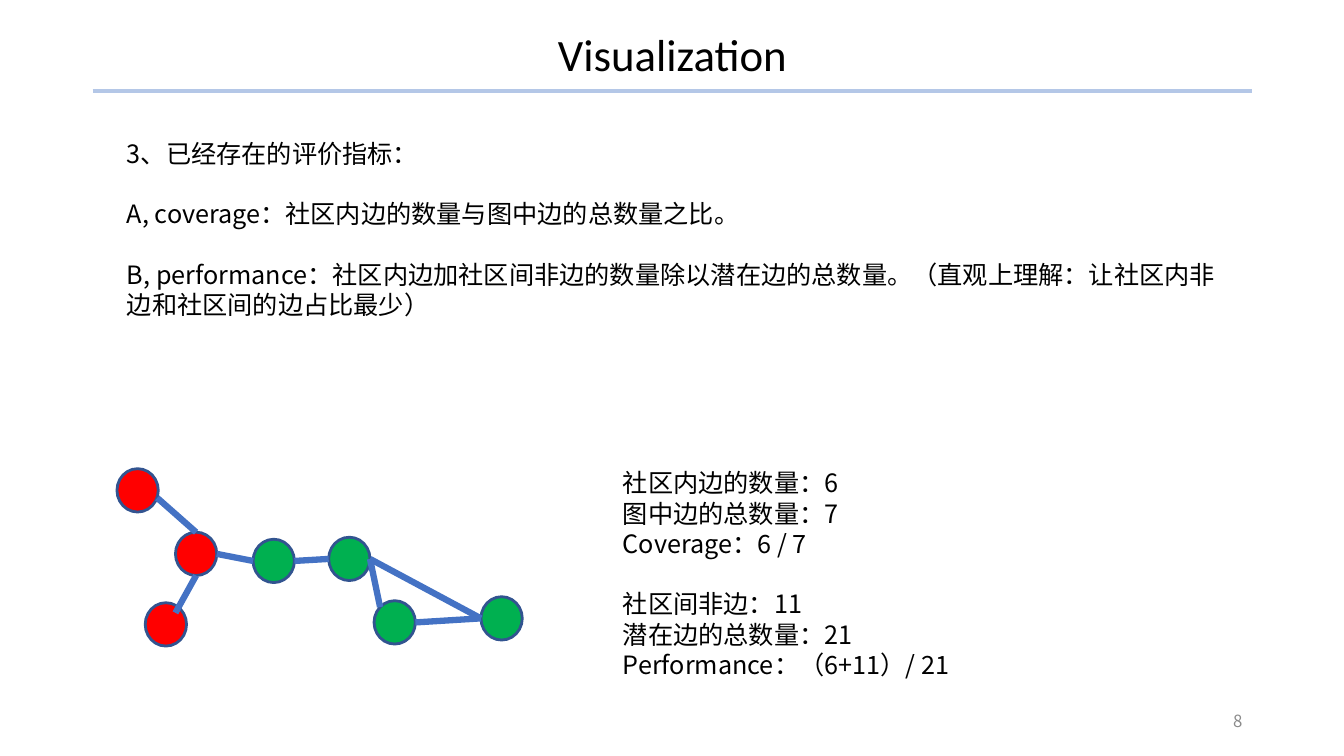
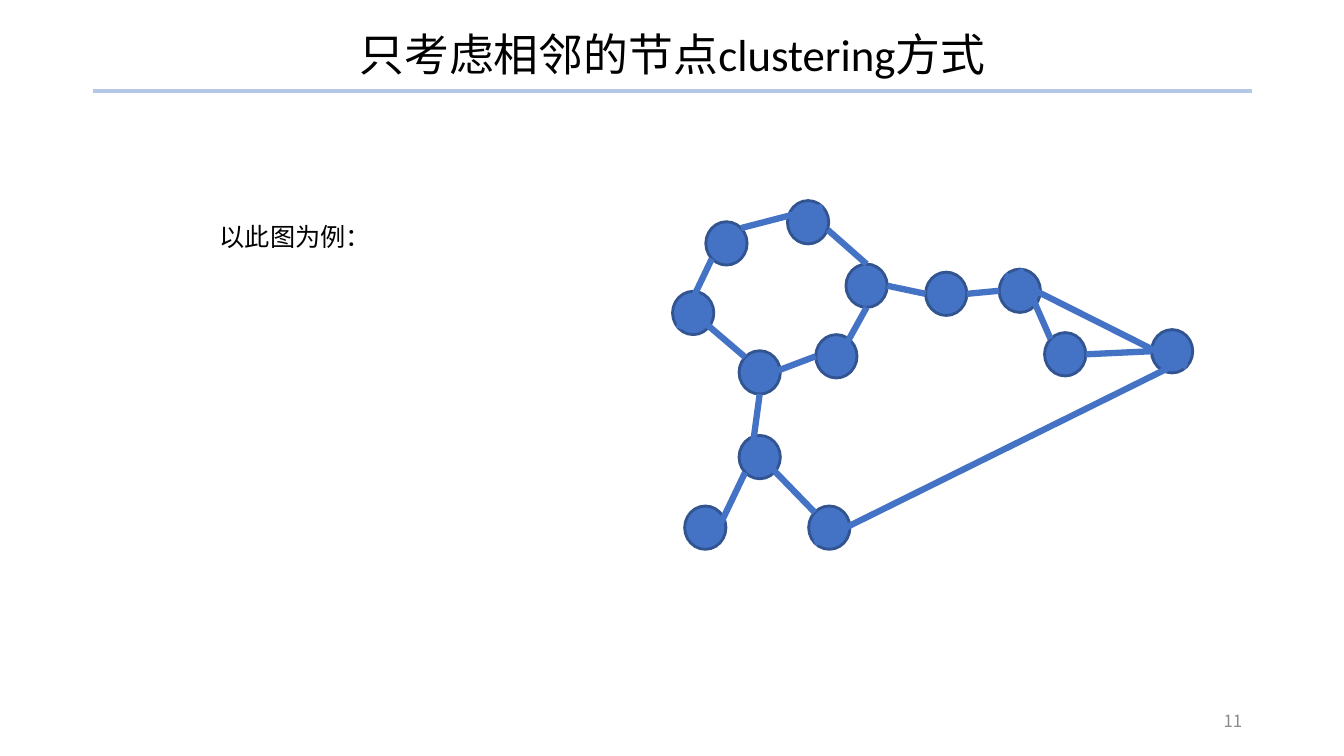
from dataclasses import dataclass
from math import sqrt
from lxml import etree
from pptx import Presentation
from pptx.dml.color import RGBColor
from pptx.enum import shapes, text
from pptx.oxml import ns
from pptx.util import Inches, Pt


@dataclass(frozen=True)
class Theme:
    ink: str = "000000"
    rule: str = "B4C7E7"
    grey: str = "8B8B8B"
    blue: str = "4472C4"
    rim: str = "325490"
    red: str = "FF0000"
    green: str = "00B050"
    latin: str = "Calibri"
    cjk: str = "Noto Sans CJK SC"
    head: float = 32
    body: float = 18
    foot: float = 12
    pitch: float = 21.6


T = Theme()
NODE = (0.41, 0.43)

# Content: an empty line group break becomes paragraph spacing.
# Nodes are name: (left, top). An edge end is a node name with a
# compass side, or a free point on the slide.
PAGES = [
    dict(
        title="Visualization", num="8",
        notes=[
            ((1.16, 1.32, 11.07, 1.9), [
                ["3、已经存在的评价指标："],
                ["A, coverage：社区内边的数量与图中边的总数量之比。"],
                ["B, performance：社区内边加社区间非边的数量除以潜在边的总数量。"
                 "（直观上理解：让社区内非边和社区间的边占比最少）"],
            ]),
            ((6.08, 4.59, 6.66, 2.9), [
                ["社区内边的数量：6", "图中边的总数量：7", "Coverage：6 / 7"],
                ["社区间非边：11", "潜在边的总数量：21",
                 "Performance：（6+11）/ 21"],
            ]),
        ],
        nodes=[
            (T.red, dict(a=(1.44, 5.98), b=(1.16, 4.65), c=(1.74, 5.28))),
            (T.green, dict(d=(2.51, 5.35), e=(3.71, 5.96),
                           f=(3.26, 5.33), g=(4.77, 5.92))),
        ],
        edges=[
            ((1.74, 6.08), "c S"), ("c N", (1.56, 4.94)), ("c E", "d W"),
            ("d E", "f W"), ("f E", "e NW"), ("e E", "g W"), ("f E", "g W"),
        ],
    ),
    dict(
        title="只考虑相邻的节点clustering方式", num="11",
        notes=[((2.08, 2.15, 2.73, 0.4), [["以此图为例："]])],
        nodes=[(T.blue, dict(
            a=(7, 2.2), b=(6.67, 2.89), c=(7.33, 3.48), d=(8.09, 3.32),
            e=(7.81, 1.99), f=(8.39, 2.62), g=(7.33, 4.32), h=(6.79, 5.02),
            i=(8.02, 5.02), j=(9.18, 2.7), k=(10.36, 3.3), l=(9.91, 2.67),
            m=(11.42, 3.27)))],
        edges=[
            ("a SW", "b SW"), ((7, 3.21), "c NW"), ((7.68, 3.69), "d W"),
            ((8.39, 3.42), "f S"), ("f N", (8.21, 2.28)), ("e NE", "a NE"),
            ("c S", (7.47, 4.39)), ("g SW", (7.14, 5.21)),
            ((7.66, 4.65), "i NW"), ("f E", "j W"), ("j E", "l W"),
            ("l N", "k NW"), ("k E", "m W"), ("i SW", (11.59, 3.65)),
            ("l NW", "m SE"),
        ],
    ),
]


def rgb(hue):
    return RGBColor.from_string(hue)


def style(par, size, hue, face):
    for run in par.runs:
        font = run.font
        font.size, font.name = Pt(size), face
        font.color.rgb = rgb(hue)
        east = etree.SubElement(run._r.get_or_add_rPr(), ns.qn("a:ea"))
        east.set("typeface", T.cjk)


def frame(slide, box):
    tf = slide.shapes.add_textbox(*map(Inches, box)).text_frame
    tf.word_wrap = True
    return tf


def label(slide, box, words, align, size, hue, face):
    tf = frame(slide, box)
    tf.text = words
    tf.vertical_anchor = text.MSO_ANCHOR.MIDDLE
    par = tf.paragraphs[0]
    par.alignment = align
    style(par, size, hue, face)
    return par


def note(slide, box, groups):
    tf = frame(slide, box)
    tf.text = "\n".join(line for group in groups for line in group)
    pars = iter(tf.paragraphs)
    for n, group in enumerate(groups):
        for k, _ in enumerate(group):
            par = next(pars)
            par.line_spacing = Pt(T.pitch)
            if n and not k:
                par.space_before = Pt(T.pitch)
            style(par, T.body, T.ink, T.cjk)


def link(slide, start, end, hue, width):
    line = slide.shapes.add_connector(
        shapes.MSO_CONNECTOR.STRAIGHT, *map(Inches, (*start, *end)))
    line.line.color.rgb = rgb(hue)
    line.line.width = Pt(width)
    etree.SubElement(line._element.spPr, ns.qn("a:effectLst"))


def dot(slide, spot, hue):
    disc = slide.shapes.add_shape(
        shapes.MSO_SHAPE.OVAL, *map(Inches, (*spot, *NODE)))
    disc.shadow.inherit = False
    disc.fill.solid()
    disc.fill.fore_color.rgb = rgb(hue)
    disc.line.color.rgb = rgb(T.rim)
    disc.line.width = Pt(2)


def point(end, spots):
    """Place an edge end on the rim of its node."""
    if isinstance(end, tuple):
        return end
    name, side = end.split()
    dx = ("E" in side) - ("W" in side)
    dy = ("S" in side) - ("N" in side)
    reach = 2 * sqrt(dx * dx + dy * dy)
    return tuple(pos + size * (0.5 + step / reach)
                 for pos, size, step in zip(spots[name], NODE, (dx, dy)))


def graph(slide, groups, edges):
    spots = {}
    for hue, nodes in groups:
        spots.update(nodes)
        for spot in nodes.values():
            dot(slide, spot, hue)
    for start, end in edges:
        link(slide, point(start, spots), point(end, spots), T.blue, 4.5)


def base(deck, title, num):
    """Add a slide with the shared rule, title and number."""
    slide = deck.slides.add_slide(deck.slide_layouts[6])
    link(slide, (0.92, 0.9), (12.42, 0.9), T.rule, 3)
    head = label(slide, (0.92, 0.24, 11.5, 0.66), title,
                 text.PP_ALIGN.CENTER, T.head, T.ink, T.latin)
    head.line_spacing = 0.9
    label(slide, (9.42, 6.95, 3, 0.4), num,
          text.PP_ALIGN.RIGHT, T.foot, T.grey, T.cjk)
    return slide


deck = Presentation()
deck.slide_width, deck.slide_height = Inches(13.33), Inches(7.5)
for page in PAGES:
    slide = base(deck, page["title"], page["num"])
    graph(slide, page["nodes"], page["edges"])
    for box, groups in page["notes"]:
        note(slide, box, groups)
deck.save("out.pptx")
